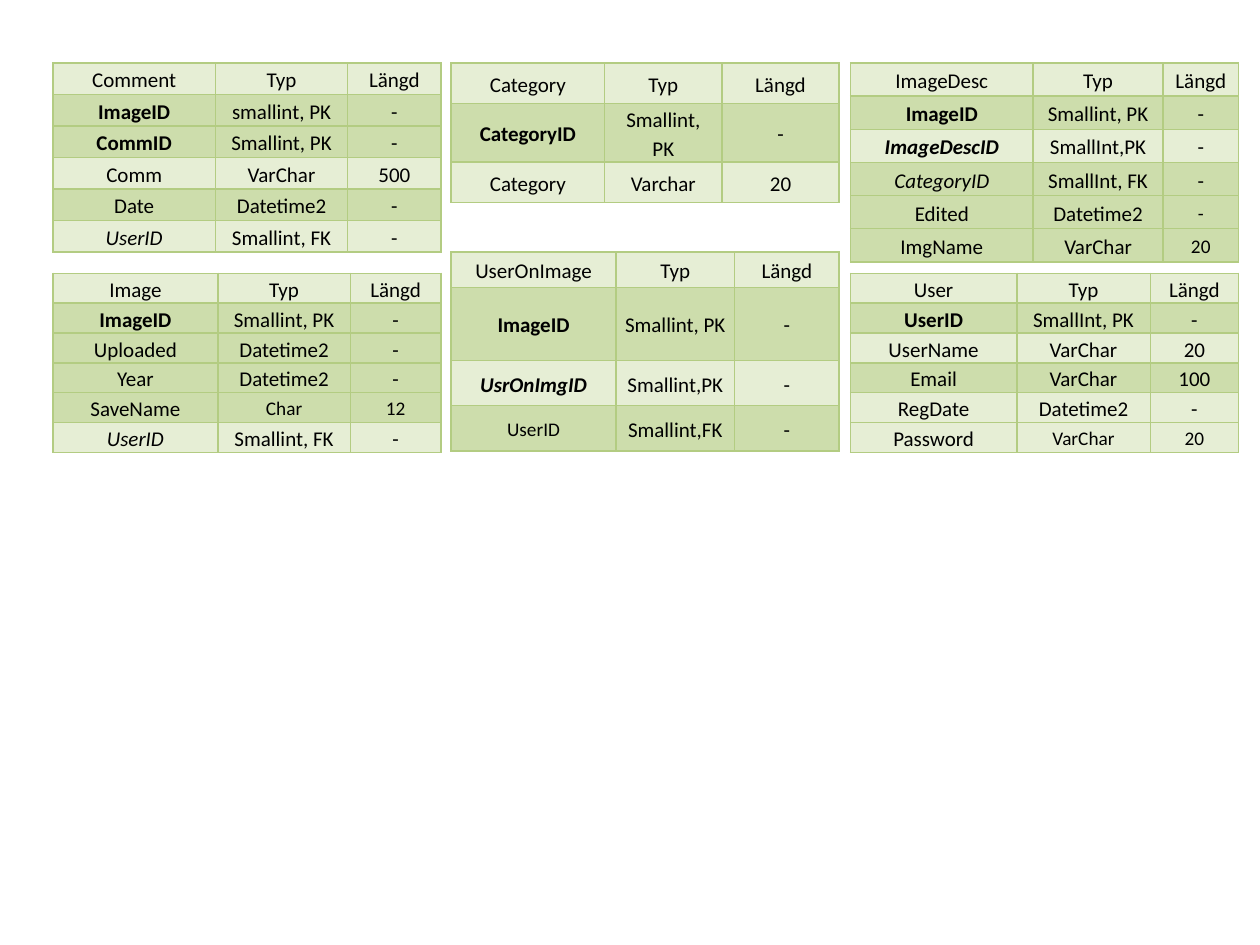
from dataclasses import dataclass

from pptx import Presentation
from pptx.dml.color import RGBColor
from pptx.enum.text import MSO_ANCHOR as Anchor, PP_ALIGN as Align
from pptx.oxml.xmlchemy import OxmlElement as Element
from pptx.util import Inches, Pt

LIGHT = RGBColor(0xE6, 0xEE, 0xD5)
DARK = RGBColor(0xCD, 0xDD, 0xAC)
BORDER = RGBColor(0xB3, 0xCC, 0x82)
BLACK = RGBColor(0, 0, 0)

FONT = "Calibri"
ENTITY_WIDTH = 3.08
LEFT, MIDDLE, RIGHT = 0.42, 3.58, 6.75


@dataclass
class Field:
    name: str
    type: str
    length: str = "-"
    fill: RGBColor = DARK
    bold: bool = False
    italic: bool = False
    small: tuple = ()  # columns set in 11 pt


def header(name):
    return Field(name, "Typ", "Längd", LIGHT)


def add_borders(cell):
    properties = cell._tc.get_or_add_tcPr()
    for side in ("a:lnL", "a:lnR", "a:lnT", "a:lnB"):
        line = Element(side)
        line.set("w", str(Pt(1)))
        solid = Element("a:solidFill")
        colour = Element("a:srgbClr")
        colour.set("val", str(BORDER))
        solid.append(colour)
        line.append(solid)
        properties.append(line)


def fill_cell(cell, text, fill, size, bold, italic):
    add_borders(cell)
    cell.fill.solid()
    cell.fill.fore_color.rgb = fill
    cell.vertical_anchor = Anchor.MIDDLE
    cell.margin_left = cell.margin_right = Inches(0.07)
    cell.margin_top = cell.margin_bottom = 0
    paragraph = cell.text_frame.paragraphs[0]
    paragraph.alignment = Align.CENTER
    paragraph.line_spacing = 1.15
    run = paragraph.add_run()
    run.text = text
    font = run.font
    font.name, font.size = FONT, Pt(size)
    font.bold, font.italic = bold, italic
    font.color.rgb = BLACK


def add_entity(slide, left, top, name_width, type_width, heights, fields):
    """Draw one database table; the last column takes the remaining width."""
    widths = (name_width, type_width, ENTITY_WIDTH - name_width - type_width)
    entity = slide.shapes.add_table(
        len(fields), len(widths), Inches(left), Inches(top),
        Inches(ENTITY_WIDTH), Inches(sum(heights))).table
    entity.first_row = entity.horz_banding = False
    for column, width in zip(entity.columns, widths):
        column.width = Inches(width)
    for row, height, field in zip(entity.rows, heights, fields):
        row.height = Inches(height)
        for i, text in enumerate((field.name, field.type, field.length)):
            fill_cell(row.cells[i], text, field.fill,
                      size=11 if i in field.small else 12,
                      bold=field.bold and i == 0,
                      italic=field.italic and i == 0)


def even_rows(total, count=6):
    return [total / count] * count


def main():
    prs = Presentation()
    prs.slide_width, prs.slide_height = Inches(10), Inches(7.5)
    slide = prs.slides.add_slide(prs.slide_layouts[6])

    # Left column: comments and images
    add_entity(slide, LEFT, 0.5, 1.29, 1.05, even_rows(1.5), [
        header("Comment"),
        Field("ImageID", "smallint, PK", bold=True),
        Field("CommID", "Smallint, PK", bold=True),
        Field("Comm", "VarChar", "500", LIGHT),
        Field("Date", "Datetime2"),
        Field("UserID", "Smallint, FK", fill=LIGHT, italic=True),
    ])
    add_entity(slide, LEFT, 2.17, 1.31, 1.05, even_rows(1.42), [
        header("Image"),
        Field("ImageID", "Smallint, PK", bold=True),
        Field("Uploaded", "Datetime2"),
        Field("Year", "Datetime2"),
        Field("SaveName", "Char", "12", small=(1, 2)),
        Field("UserID", "Smallint, FK", fill=LIGHT, italic=True),
    ])

    # Middle column: categories and users on images
    add_entity(slide, MIDDLE, 0.5, 1.22, 0.93, [0.32, 0.45, 0.32], [
        header("Category"),
        Field("CategoryID", "Smallint, PK", bold=True),
        Field("Category", "Varchar", "20", LIGHT),
    ])
    add_entity(slide, MIDDLE, 2, 1.31, 0.94, [0.28, 0.58, 0.36, 0.36], [
        header("UserOnImage"),
        Field("ImageID", "Smallint, PK", bold=True),
        Field("UsrOnImgID", "Smallint,PK", fill=LIGHT, bold=True, italic=True),
        Field("UserID", "Smallint,FK", small=(0,)),
    ])

    # Right column: image descriptions and users
    add_entity(slide, RIGHT, 0.5, 1.45, 1.03, even_rows(1.58), [
        header("ImageDesc"),
        Field("ImageID", "Smallint, PK", bold=True),
        Field("ImageDescID", "SmallInt,PK", fill=LIGHT, bold=True, italic=True),
        Field("CategoryID", "SmallInt, FK", italic=True),
        Field("Edited", "Datetime2", small=(2,)),
        Field("ImgName", "VarChar", "20", small=(2,)),
    ])
    add_entity(slide, RIGHT, 2.17, 1.32, 1.06, even_rows(1.42), [
        header("User"),
        Field("UserID", "SmallInt, PK", bold=True),
        Field("UserName", "VarChar", "20", LIGHT),
        Field("Email", "VarChar", "100"),
        Field("RegDate", "Datetime2", fill=LIGHT),
        Field("Password", "VarChar", "20", LIGHT, small=(1, 2)),
    ])

    prs.save("out.pptx")


if __name__ == "__main__":
    main()
